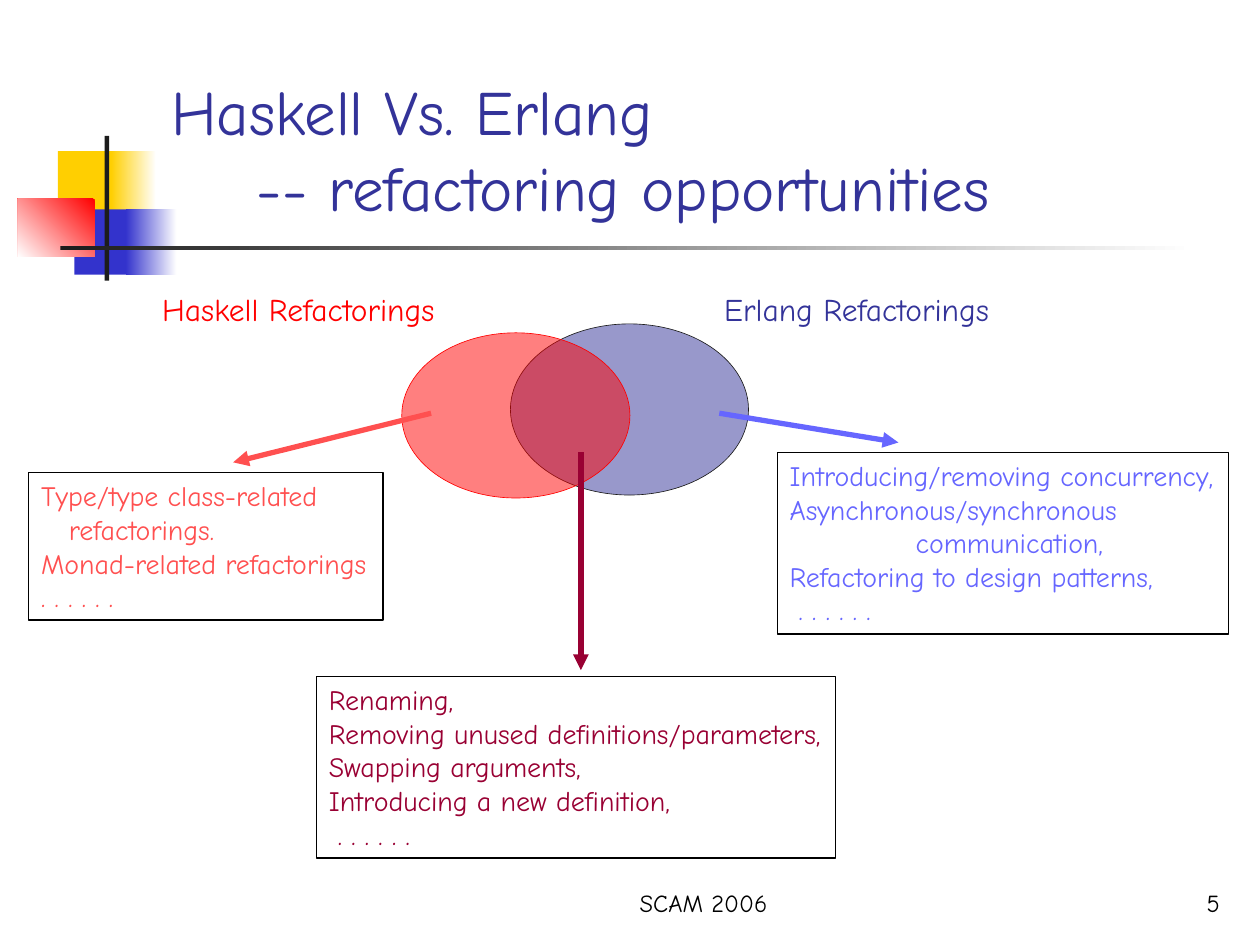
from lxml import etree
from pptx import Presentation
from pptx import util as u
from pptx.dml.color import RGBColor
from pptx.enum import shapes, text
from pptx.oxml.ns import qn

COLOURS = {
    "white": "FFFFFF", "black": "000000", "ink": "1C1C1C",
    "yellow": "FFCF01", "blue": "3333CC", "red": "FF0000",
    "erlang": "333399", "haskell note": "FF5050",
    "erlang note": "6666FF", "shared": "990033",
}


def rgb(name):
    return RGBColor.from_string(COLOURS[name])


class Deck:
    """Draws styled elements on the current slide, with lengths in centimetres."""

    font = "Comic Neue"

    def __init__(self, width, height):
        self.show = Presentation()
        self.show.slide_width, self.show.slide_height = u.Cm(width), u.Cm(height)
        self.slide = self.show.slides.add_slide(self.show.slide_layouts[6])

    def shape(self, kind, at, colour):
        item = self.slide.shapes.add_shape(kind, *map(u.Cm, at))
        item.shadow.inherit = False
        item.fill.solid()
        item.fill.fore_color.rgb = rgb(colour)
        item.line.fill.background()
        return item

    def block(self, at, colour):
        return self.shape(shapes.MSO_SHAPE.RECTANGLE, at, colour)

    def fade(self, at, colour, angle=0):
        fill = self.block(at, colour).fill
        fill.gradient()
        fill.gradient_angle = angle
        for stop, name, position in zip(fill.gradient_stops, (colour, "white"), (0, 1)):
            stop.color.rgb = rgb(name)
            stop.position = position

    def ellipse(self, at, colour, outline):
        oval = self.shape(shapes.MSO_SHAPE.OVAL, at, colour)
        tint = oval.fill._xPr.find(".//" + qn("a:srgbClr"))
        etree.SubElement(tint, qn("a:alpha"), val="50000")
        oval.line.color.rgb = rgb(outline)
        oval.line.width = u.Pt(0.37)

    def words(self, at, lines, size, colour, wrap=False, bottom=False,
              align=text.PP_ALIGN.LEFT, border=False):
        box = self.slide.shapes.add_textbox(*map(u.Cm, at))
        frame = box.text_frame
        frame.word_wrap = wrap
        if bottom:
            frame.vertical_anchor = text.MSO_ANCHOR.BOTTOM
        if border:
            box.line.color.rgb = rgb("black")
            box.line.width = u.Pt(0.75)
        for number, (line, indent) in enumerate(lines):
            paragraph = frame.add_paragraph() if number else frame.paragraphs[0]
            paragraph.alignment = align
            if indent:
                paragraph._p.get_or_add_pPr().set("marL", str(u.Cm(indent)))
            run = paragraph.add_run()
            run.text = line
            run.font.name = self.font
            run.font.size = u.Pt(size)
            run.font.color.rgb = rgb(colour)

    def arrow(self, start, end, colour, width):
        line = self.slide.shapes.add_connector(
            shapes.MSO_CONNECTOR.STRAIGHT, *map(u.Cm, (*start, *end)))
        line.line.color.rgb = rgb(colour)
        line.line.width = u.Pt(width)
        etree.SubElement(line.line._get_or_add_ln(), qn("a:tailEnd"), type="triangle")
        etree.SubElement(line._element.spPr, qn("a:effectLst"))


def main():
    deck = Deck(25.4, 19.05)

    deck.block((1.17, 3.05, 1.22, 1.32), "yellow")
    deck.fade((2.24, 3.05, 0.91, 1.32), "yellow")
    deck.block((1.5, 4.22, 1.17, 1.32), "blue")
    deck.fade((2.54, 4.22, 1.02, 1.32), "blue")
    deck.fade((0.36, 4.01, 1.55, 1.17), "red", 225)
    deck.block((2.11, 2.74, 0.09, 2.92), "ink")
    deck.fade((1.22, 4.95, 22.86, 0.09), "ink")

    title = [("Haskell Vs. Erlang", 0), ("-- refactoring opportunities", 1.73)]
    deck.words((3.2, 0.58, 21.64, 4.06), title, 36, "erlang", wrap=True, bottom=True)

    deck.ellipse((10.29, 6.53, 4.8, 3.45), "erlang", "ink")
    deck.ellipse((8.1, 6.71, 4.6, 3.33), "red", "red")
    deck.words((3.02, 5.72, 6.05, 1.02), [("Haskell Refactorings", 0)], 18, "red")
    deck.words((14.35, 5.72, 5.87, 1.02), [("Erlang Refactorings", 0)], 18, "erlang")

    dots = ". . . . . ."
    haskell_only = [("Type/type class-related", 0), ("refactorings.", 0.56),
                    ("Monad-related refactorings", 0), (dots, 0)]
    erlang_only = [("Introducing/removing concurrency,", 0),
                   ("Asynchronous/synchronous", 0), ("communication,", 2.54),
                   ("Refactoring to design patterns,", 0), (dots, 0.18)]
    shared = [("Renaming,", 0), ("Removing unused definitions/parameters,", 0),
              ("Swapping arguments,", 0), ("Introducing a new definition,", 0),
              (dots, 0.18)]
    for at, lines, colour in (
        ((0.58, 9.53, 7.14, 2.97), haskell_only, "haskell note"),
        ((15.67, 9.12, 9.09, 3.66), erlang_only, "erlang note"),
        ((6.38, 13.64, 10.46, 3.66), shared, "shared"),
    ):
        deck.words(at, lines, 16, colour, border=True)

    for start, end, colour, width in (
        ((8.1, 8.33), (8.1, 8.33), "black", 0.75),
        ((8.69, 8.33), (4.7, 9.32), "haskell note", 3),
        ((14.5, 8.33), (18.11, 8.92), "erlang note", 3),
        ((11.71, 9.12), (11.71, 13.51), "shared", 3),
    ):
        deck.arrow(start, end, colour, width)

    for left, width, line, align in (
        (10.16, 8.05, "SCAM 2006", text.PP_ALIGN.CENTER),
        (19.56, 5.28, "5", text.PP_ALIGN.RIGHT),
    ):
        deck.words((left, 17.35, width, 1.27), [(line, 0)], 14, "black",
                   wrap=True, bottom=True, align=align)

    deck.show.save("out.pptx")


if __name__ == "__main__":
    main()
